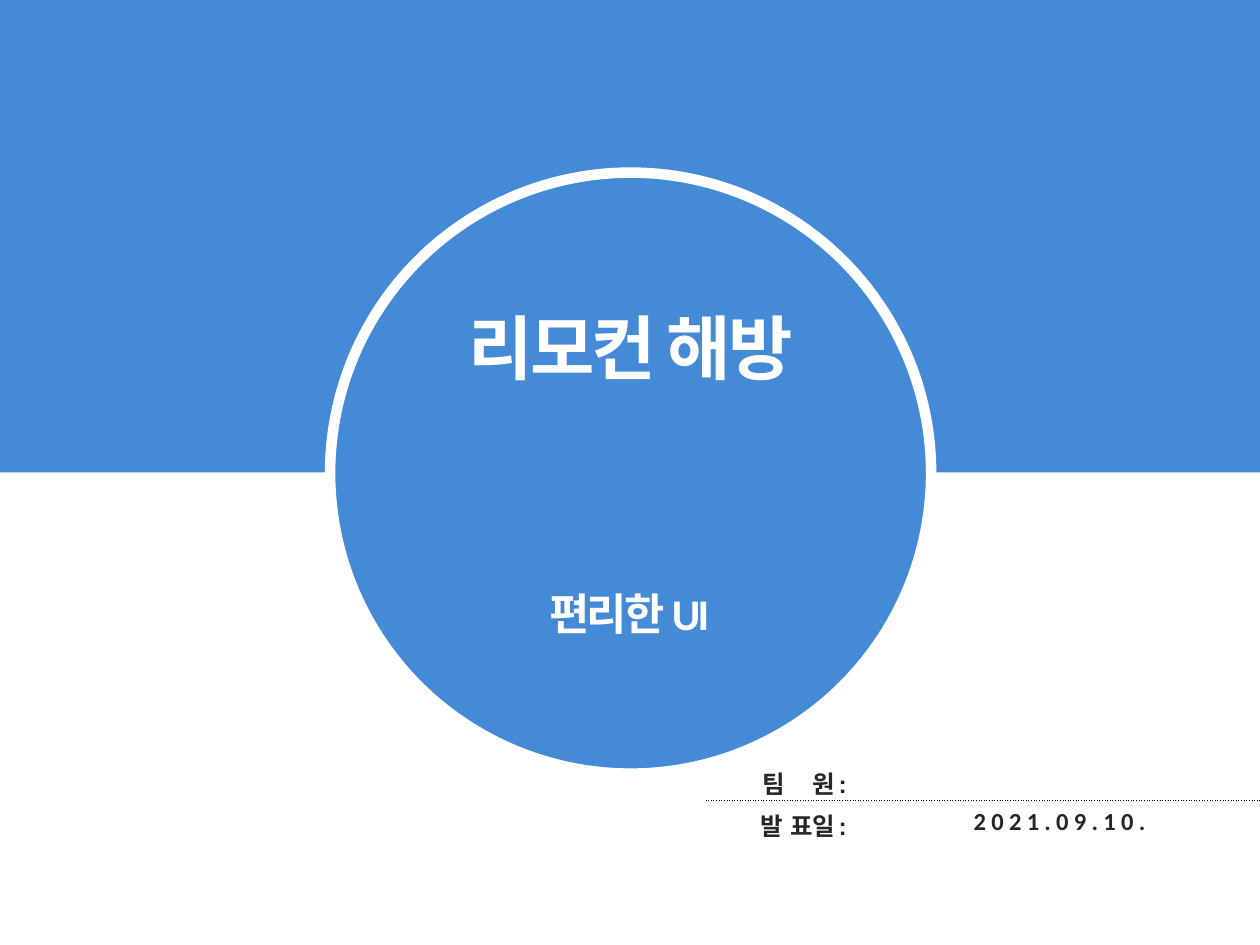
from lxml.etree import SubElement
from pptx import Presentation
from pptx.dml.color import RGBColor
from pptx.enum.shapes import MSO_SHAPE as Kind
from pptx.enum.text import MSO_ANCHOR as Anchor, MSO_AUTO_SIZE as Fit, PP_ALIGN as Align
from pptx.oxml import parse_xml
from pptx.oxml.ns import nsdecls, qn
from pptx.util import Inches, Pt

BLUE, WHITE, DARK = "448AD7", "FFFFFF", "262626"
PLAIN = "{2D5ABB26-0587-4C30-8999-92F81FD0307C}"


def paint(item, code):
    """Give a fill or line format a solid colour."""
    item.solid()
    item.fore_color.rgb = RGBColor.from_string(code)


def style(part, form):
    """Set the attributes of a part from a dict."""
    for key, val in form.items():
        setattr(part, key, val)


def write(para, text, size, face, code, gap):
    """Add one bold run with letter spacing in points."""
    run = para.add_run()
    run.text = text
    style(run.font, {"size": Pt(size), "name": face, "bold": True})
    run.font.color.rgb = RGBColor.from_string(code)
    run.font._element.set("spc", str(round(gap * 100)))


def shape(slide, kind, box, edge=None):
    """Place one blue shape behind the placeholders."""
    item = slide.shapes.add_shape(kind, *map(Inches, box))
    item.shadow.inherit = False
    paint(item.fill, BLUE)
    if edge:
        paint(item.line.fill, WHITE)
        item.line.width = Pt(edge)
    else:
        item.line.fill.background()
    return item


def back(slide, band, disc):
    """Draw the top band and the ringed disc at the back."""
    parts = [shape(slide, Kind.RECTANGLE, band),
             shape(slide, Kind.FLOWCHART_CONNECTOR, disc, 6)]
    for spot, item in enumerate(parts, 2):
        slide.shapes._spTree.insert(spot, item._element)


def head(holder, box, text, size, wrap):
    """Move a placeholder into a box and fill it with white text."""
    style(holder, dict(zip(("left", "top", "width", "height"), map(Inches, box))))
    frame = holder.text_frame
    style(frame, {"word_wrap": wrap, "auto_size": Fit.SHAPE_TO_FIT_TEXT,
                  "vertical_anchor": Anchor.TOP})
    para = frame.paragraphs[0]
    style(para, {"alignment": Align.CENTER, "space_before": Pt(0)})
    write(para, text, size, "Calibri", WHITE, -1.5)


def rule(cell, side):
    """Add a dotted black border to one side of a cell."""
    line = parse_xml(
        f'<a:{side} {nsdecls("a")} w="9525"><a:solidFill><a:srgbClr val="000000"/>'
        f'</a:solidFill><a:prstDash val="sysDot"/></a:{side}>')
    cell._tc.get_or_add_tcPr().insert(0, line)


def facts(slide, box, cols, rows):
    """Build the label and value table with a dotted rule between rows."""
    table = slide.shapes.add_table(len(rows), len(cols), *map(Inches, box)).table
    style(table, {"first_row": False, "horz_banding": False})
    table._tbl.tblPr.find(qn("a:tableStyleId")).text = PLAIN
    for col, wide in zip(table.columns, cols):
        col.width = Inches(wide)
    for r, row in enumerate(rows):
        for c, (face, runs) in enumerate(row):
            cell = table.cell(r, c)
            cell.fill.background()
            cell.vertical_anchor = Anchor.MIDDLE
            rule(cell, "lnT" if r else "lnB")
            para = cell.text_frame.paragraphs[0]
            para.alignment = Align.CENTER if c else Align.RIGHT
            for text, gap in runs:
                write(para, text, 14, face, DARK, gap)
            if not runs:
                SubElement(para._p, qn("a:endParaRPr"), sz="1400")


def main():
    """Build and save the cover slide."""
    deck = Presentation()
    style(deck, {"slide_width": Inches(10), "slide_height": Inches(7.5)})
    slide = deck.slides.add_slide(deck.slide_layouts[0])
    back(slide, (0, 0, 10, 3.75), (2.62, 1.37, 4.77, 4.77))
    title, sub = slide.placeholders
    head(title, (3.5, 2.37, 3.01, 0.77), "리모컨 해방", 40, False)
    head(sub, (3.94, 4.61, 2.11, 0.52), "편리한 UI", 25, True)
    rows = [
        [("Arial", [("팀", -1.5), (" ", 13), ("원 :", -1.5)]), ("Calibri", [])],
        [("Arial", [("발", -1.5), (" ", 1), ("표 일 :", -1.5)]),
         ("Calibri", [("2021.09.10.", 3)])],
    ]
    facts(slide, (5.6, 6.02, 4.4, 0.67), (1.22, 3.18), rows)
    deck.save("out.pptx")


if __name__ == "__main__":
    main()
